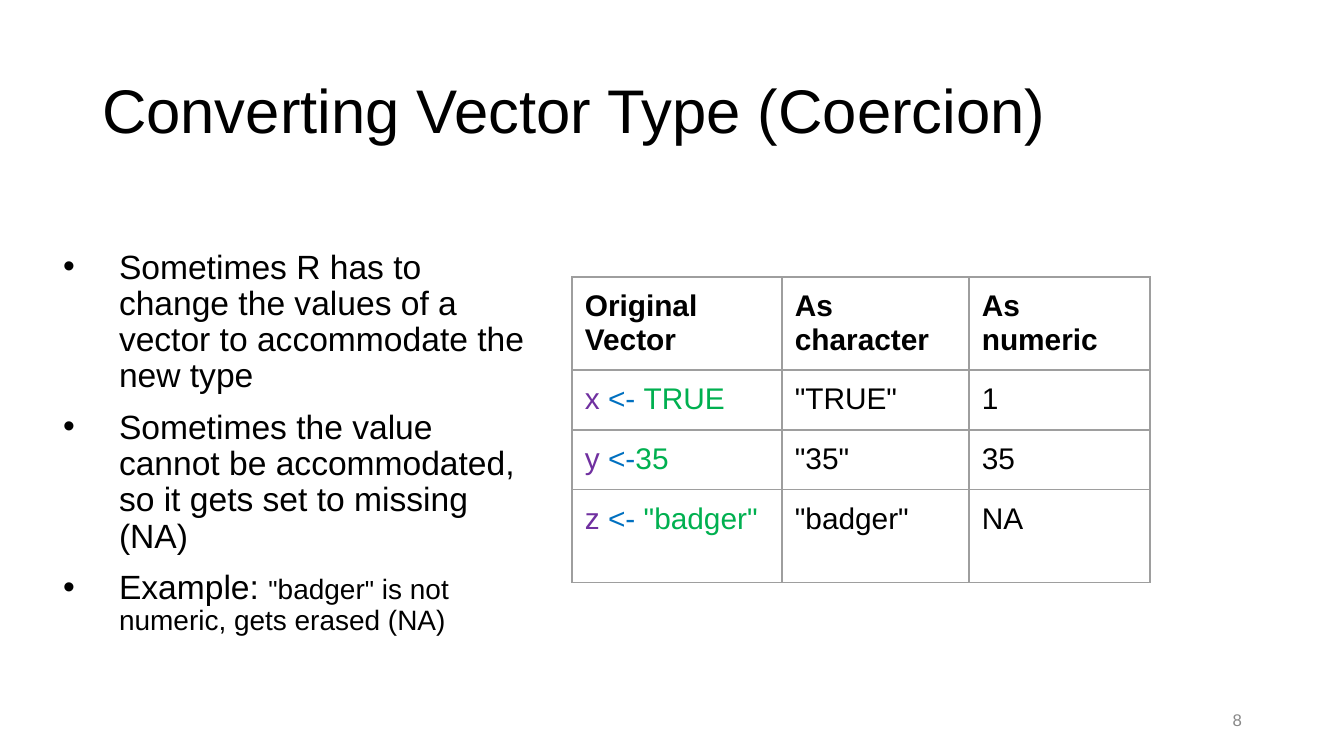
"""Build a slide on vector coercion with a bulleted list and a conversion table."""
from lxml.etree import SubElement
from pptx import Presentation
from pptx.dml.color import RGBColor
from pptx.enum.text import MSO_ANCHOR, MSO_AUTO_SIZE, PP_ALIGN
from pptx.oxml.ns import qn
from pptx.util import Pt

BLACK = RGBColor(0x00, 0x00, 0x00)
GRAY = RGBColor(0x88, 0x88, 0x88)
BORDER = RGBColor(0x9E, 0x9E, 0x9E)
PURPLE = RGBColor(0x70, 0x30, 0xA0)
BLUE = RGBColor(0x00, 0x70, 0xC0)
GREEN = RGBColor(0x00, 0xB0, 0x50)

TITLE = "Converting Vector Type (Coercion)"
BULLETS = [
    [("Sometimes R has to change the values of a vector to accommodate the new type", 18)],
    [("Sometimes the value cannot be accommodated, so it gets set to missing (NA)", 18)],
    [("Example: ", 18), ('"', 14), ("badger", 15), ('"', 14),
     (" is not numeric, gets erased (NA)", 15)],
]
HEADERS = ["Original Vector", "As character", "As numeric"]
CONVERSIONS = [
    (("x ", "<- ", "TRUE"), '"TRUE"', "1"),
    (("y ", "<-", "35"), '"35"', "35"),
    (("z ", "<- ", '"badger"'), '"badger"', "NA"),
]
CODE_COLORS = (PURPLE, BLUE, GREEN)
PAGE_NUMBER = "8"

PAGE_SIZE = (1344, 756)
TITLE_AREA = (93, 40, 1158, 147)
BODY_AREA = (43, 241, 504, 461)
NUMBER_AREA = (949, 700, 302, 40)
TABLE_CORNER = (572, 277)
COLUMN_WIDTHS = (210, 187, 181)
ROW_HEIGHTS = (93, 60, 60, 93)


def px(length):
    """Turn pixels into EMU."""
    return round(length * 914400 / 134.4)


def add_span(para, text, size, color=BLACK, bold=False):
    """Add one formatted run to a paragraph."""
    span = para.add_run()
    span.text = text
    span.font.name = "Arial"
    span.font.size = Pt(size)
    span.font.bold = bold
    span.font.color.rgb = color


def prepare_box(box, area, anchor, side=9, edge=9):
    """Place a text shape and return its frame."""
    box.left, box.top, box.width, box.height = map(px, area)
    frame = box.text_frame
    frame.word_wrap = True
    frame.auto_size = MSO_AUTO_SIZE.NONE
    frame.vertical_anchor = anchor
    frame.margin_left = frame.margin_right = px(side)
    frame.margin_top = frame.margin_bottom = px(edge)
    return frame


def add_bullet(para):
    """Give a paragraph a hanging round bullet."""
    properties = para._p.get_or_add_pPr()
    properties.set("marL", str(px(67)))
    properties.set("indent", str(px(-56)))
    color = SubElement(properties, qn("a:buClr"))
    SubElement(color, qn("a:srgbClr"), val=str(BLACK))
    SubElement(properties, qn("a:buFont"), typeface="Arial")
    SubElement(properties, qn("a:buChar"), char="•")


def format_cell(cell):
    """Set margins, borders and an empty fill, and return the paragraph."""
    cell.margin_left = cell.margin_right = px(13)
    cell.margin_top = cell.margin_bottom = px(13)
    properties = cell._tc.get_or_add_tcPr()
    for side in ("lnL", "lnR", "lnT", "lnB"):
        line = SubElement(properties, qn(f"a:{side}"), w=str(Pt(0.75)))
        fill = SubElement(line, qn("a:solidFill"))
        SubElement(fill, qn("a:srgbClr"), val=str(BORDER))
    cell.fill.background()
    return cell.text_frame.paragraphs[0]


def add_conversion_table(page):
    """Add the table of original and converted values."""
    size = (sum(COLUMN_WIDTHS), sum(ROW_HEIGHTS))
    table = page.shapes.add_table(
        len(ROW_HEIGHTS), len(COLUMN_WIDTHS), *map(px, TABLE_CORNER + size)).table
    table.first_row = table.horz_banding = False
    for column, width in zip(table.columns, COLUMN_WIDTHS):
        column.width = px(width)
    for row, height, values in zip(table.rows, ROW_HEIGHTS, [HEADERS, *CONVERSIONS]):
        row.height = px(height)
        for cell, value in zip(row.cells, values):
            para = format_cell(cell)
            if isinstance(value, tuple):
                for text, color in zip(value, CODE_COLORS):
                    add_span(para, text, 16, color=color)
            else:
                add_span(para, value, 16, bold=values is HEADERS)


def main():
    """Build and save the deck."""
    deck = Presentation()
    deck.slide_width, deck.slide_height = map(px, PAGE_SIZE)
    page = deck.slides.add_slide(deck.slide_layouts[1])

    para = prepare_box(page.shapes.title, TITLE_AREA, MSO_ANCHOR.MIDDLE).paragraphs[0]
    para.alignment = PP_ALIGN.LEFT
    para.line_spacing = 0.9
    add_span(para, TITLE, 33)

    frame = prepare_box(page.placeholders[1], BODY_AREA, MSO_ANCHOR.TOP)
    for index, spans in enumerate(BULLETS):
        para = frame.add_paragraph() if index else frame.paragraphs[0]
        para.line_spacing = 0.9
        para.space_before = Pt(8)
        add_bullet(para)
        for text, size in spans:
            add_span(para, text, size)

    add_conversion_table(page)

    box = page.shapes.add_textbox(*map(px, NUMBER_AREA))
    para = prepare_box(box, NUMBER_AREA, MSO_ANCHOR.MIDDLE, edge=5).paragraphs[0]
    para.alignment = PP_ALIGN.RIGHT
    add_span(para, PAGE_NUMBER, 9, color=GRAY)

    deck.save("out.pptx")


if __name__ == "__main__":
    main()
